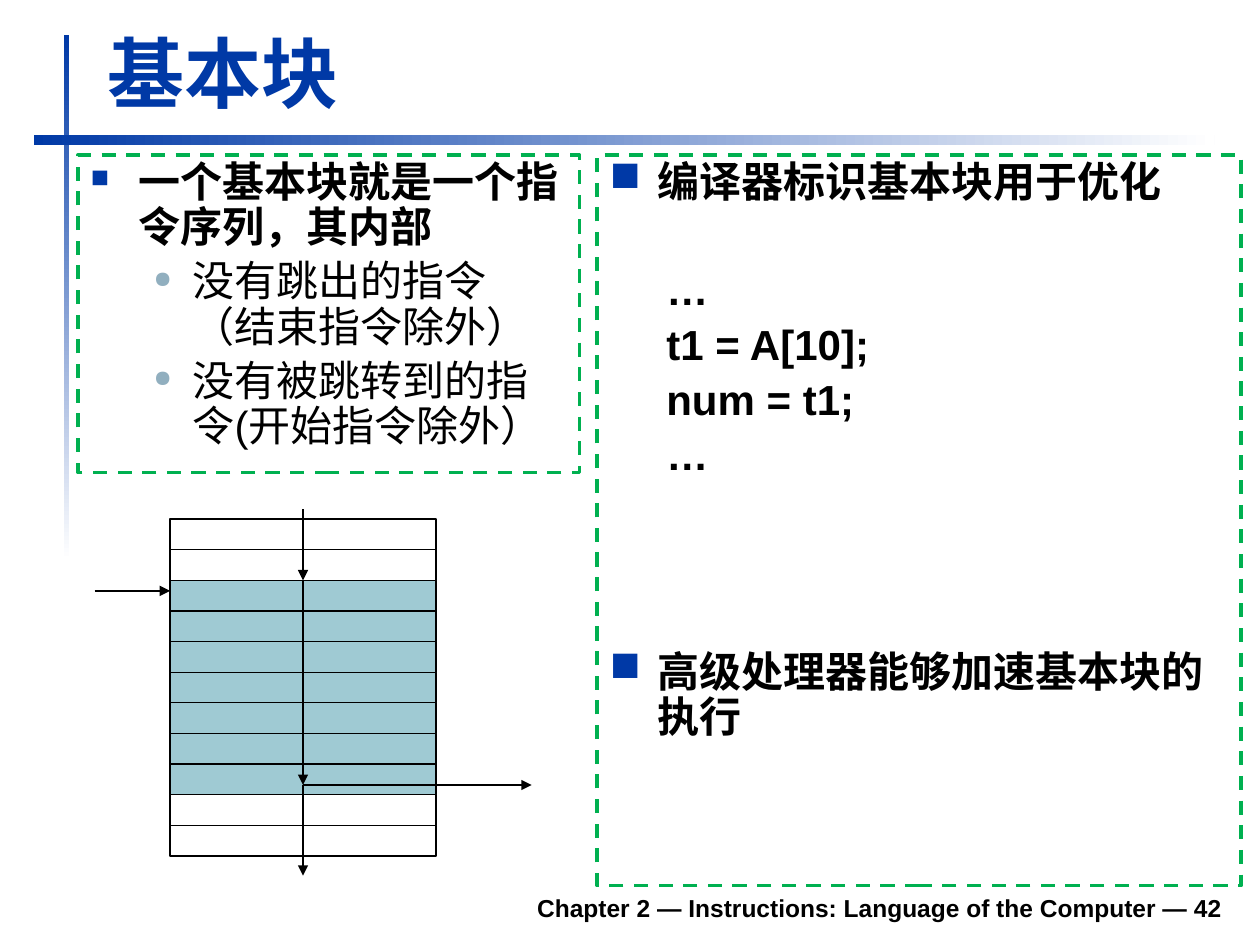
from lxml import etree
from pptx import Presentation
from pptx.dml.color import RGBColor
from pptx.enum.dml import MSO_LINE
from pptx.enum.shapes import MSO_CONNECTOR, MSO_SHAPE
from pptx.enum.text import MSO_ANCHOR, PP_ALIGN
from pptx.oxml.ns import qn
from pptx.util import Inches, Pt

RECTANGLE = MSO_SHAPE.RECTANGLE
STRAIGHT = MSO_CONNECTOR.STRAIGHT
LEFT, RIGHT = PP_ALIGN.LEFT, PP_ALIGN.RIGHT
TOP, BOTTOM = MSO_ANCHOR.TOP, MSO_ANCHOR.BOTTOM
DASH = MSO_LINE.DASH

# Content: (paragraph style, text, space before in points)
TITLE = "基本块"
FOOTER = "Chapter 2 — Instructions: Language of the Computer — 42"
DEFINITION = [
    ("small square", "一个基本块就是一个指令序列，其内部", 0),
    ("dot", "没有跳出的指令（结束指令除外）", 5),
    ("dot", "没有被跳转到的指令(开始指令除外）", 5),
]
USES = [
    ("square", "编译器标识基本块用于优化", 0),
    ("code", "…", 36),
    ("code", "t1 = A[10];", 5.5),
    ("code", "num = t1;", 5.5),
    ("code", "…", 5.5),
    ("square", "高级处理器能够加速基本块的执行", 98),
]
ROW_COUNT = 11
BLOCK_ROWS = range(2, 9)

THEME = {
    "font": "Arial",
    "blue": RGBColor(0x00, 0x39, 0xA6),
    "white": RGBColor(0xFF, 0xFF, 0xFF),
    "black": RGBColor(0x00, 0x00, 0x00),
    "green": RGBColor(0x00, 0xB0, 0x50),
    "teal": RGBColor(0x9F, 0xCA, 0xD3),
    "dot": RGBColor(0x91, 0xAF, 0xBF),
    "title size": 44,
    "body size": 24,
    "footer size": 14,
}
# margin, first-line indent, bullet, bullet colour, bullet percent, bold
STYLES = {
    "small square": (0.38, -0.38, "■", "blue", 60, True),
    "square": (0.38, -0.38, "■", "blue", 100, True),
    "dot": (0.81, -0.31, "●", "dot", 55, False),
    "code": (0.45, 0, None, None, None, True),
}


def add_rectangle(shapes, left, top, width, height):
    shape = shapes.add_shape(RECTANGLE, Inches(left), Inches(top),
                             Inches(width), Inches(height))
    shape.shadow.inherit = False
    shape.fill.background()
    shape.line.fill.background()
    return shape


def set_line(shape, color, width):
    shape.line.color.rgb = THEME[color]
    shape.line.width = Pt(width)


def add_gradient_bar(shapes, place, angle):
    bar = add_rectangle(shapes, *place)
    bar.fill.gradient()
    bar.fill.gradient_angle = angle
    for stop, color, position in zip(bar.fill.gradient_stops, ("blue", "white"), (0, 1)):
        stop.color.rgb = THEME[color]
        stop.position = position


def add_run(paragraph, text, size, color, bold):
    run = paragraph.add_run()
    run.text = text
    run.font.name = THEME["font"]
    run.font.size = Pt(THEME[size])
    run.font.bold = bold
    run.font.color.rgb = THEME[color]


def format_paragraph(paragraph, style, space):
    margin, indent, bullet, color, percent, _ = STYLES[style]
    paragraph.alignment = LEFT
    paragraph.line_spacing = 0.9
    paragraph.space_before = Pt(space)
    properties = paragraph._p.get_or_add_pPr()
    properties.set("marL", str(Inches(margin)))
    properties.set("indent", str(Inches(indent)))
    if bullet:
        bullet_color = etree.SubElement(properties, qn("a:buClr"))
        etree.SubElement(bullet_color, qn("a:srgbClr"), val=str(THEME[color]))
        etree.SubElement(properties, qn("a:buSzPct"), val=str(percent * 1000))
        etree.SubElement(properties, qn("a:buChar"), char=bullet)


def add_dashed_panel(shapes, place, content):
    panel = add_rectangle(shapes, *place)
    set_line(panel, "green", 2)
    panel.line.dash_style = DASH
    frame = panel.text_frame
    frame.word_wrap = True
    frame.vertical_anchor = TOP
    for index, (style, text, space) in enumerate(content):
        paragraph = frame.add_paragraph() if index else frame.paragraphs[0]
        format_paragraph(paragraph, style, space)
        add_run(paragraph, text, "body size", "black", STYLES[style][-1])


def add_arrow(shapes, start, end):
    arrow = shapes.add_connector(STRAIGHT, *map(Inches, start + end))
    set_line(arrow, "black", 1.5)
    etree.SubElement(arrow.line._get_or_add_ln(), qn("a:tailEnd"), type="triangle")
    etree.SubElement(arrow._element.spPr, qn("a:effectLst"))


def add_block_diagram(shapes):
    left, top, width, row_height = 1.35, 4.12, 2.11, 0.243
    center = left + width / 2
    entry = top + BLOCK_ROWS.start * row_height
    leave = 6.23

    # Instruction rows, with the basic block shaded
    for row in range(ROW_COUNT):
        cell = add_rectangle(shapes, left, top + row * row_height, width, row_height)
        set_line(cell, "black", 0.75)
        if row in BLOCK_ROWS:
            cell.fill.solid()
            cell.fill.fore_color.rgb = THEME["teal"]

    # Control flow through the block, then jumps out of it and into it
    stops = [4.04, entry, leave, 6.95]
    for start, end in zip(stops, stops[1:]):
        add_arrow(shapes, (center, start), (center, end))
    add_arrow(shapes, (center, leave), (4.22, leave))
    add_arrow(shapes, (0.75, 4.69), (left, 4.69))


def main():
    presentation = Presentation()
    presentation.slide_width, presentation.slide_height = Inches(10), Inches(7.5)
    slide = presentation.slides.add_slide(presentation.slide_layouts[5])
    shapes = slide.shapes

    # Crossed gradient bars
    add_gradient_bar(shapes, (0.51, 0.28, 0.04, 4.17), 270)
    add_gradient_bar(shapes, (0.27, 1.07, 9.37, 0.08), 0)

    # Title and footer
    title = shapes.title
    title.left, title.top, title.width, title.height = map(Inches, (0.75, 0.16, 9.03, 0.83))
    footer = shapes.add_textbox(*map(Inches, (1.85, 6.98, 7.95, 0.39)))
    for shape, text, size, color, alignment in (
        (title, TITLE, "title size", "blue", LEFT),
        (footer, FOOTER, "footer size", "black", RIGHT),
    ):
        shape.text_frame.word_wrap = True
        shape.text_frame.vertical_anchor = BOTTOM
        paragraph = shape.text_frame.paragraphs[0]
        paragraph.alignment = alignment
        add_run(paragraph, text, size, color, True)

    # Text panels and diagram
    add_dashed_panel(shapes, (0.62, 1.23, 3.98, 2.52), DEFINITION)
    add_block_diagram(shapes.add_group_shape().shapes)
    add_dashed_panel(shapes, (4.74, 1.23, 5.11, 5.8), USES)

    presentation.save("out.pptx")


if __name__ == "__main__":
    main()
